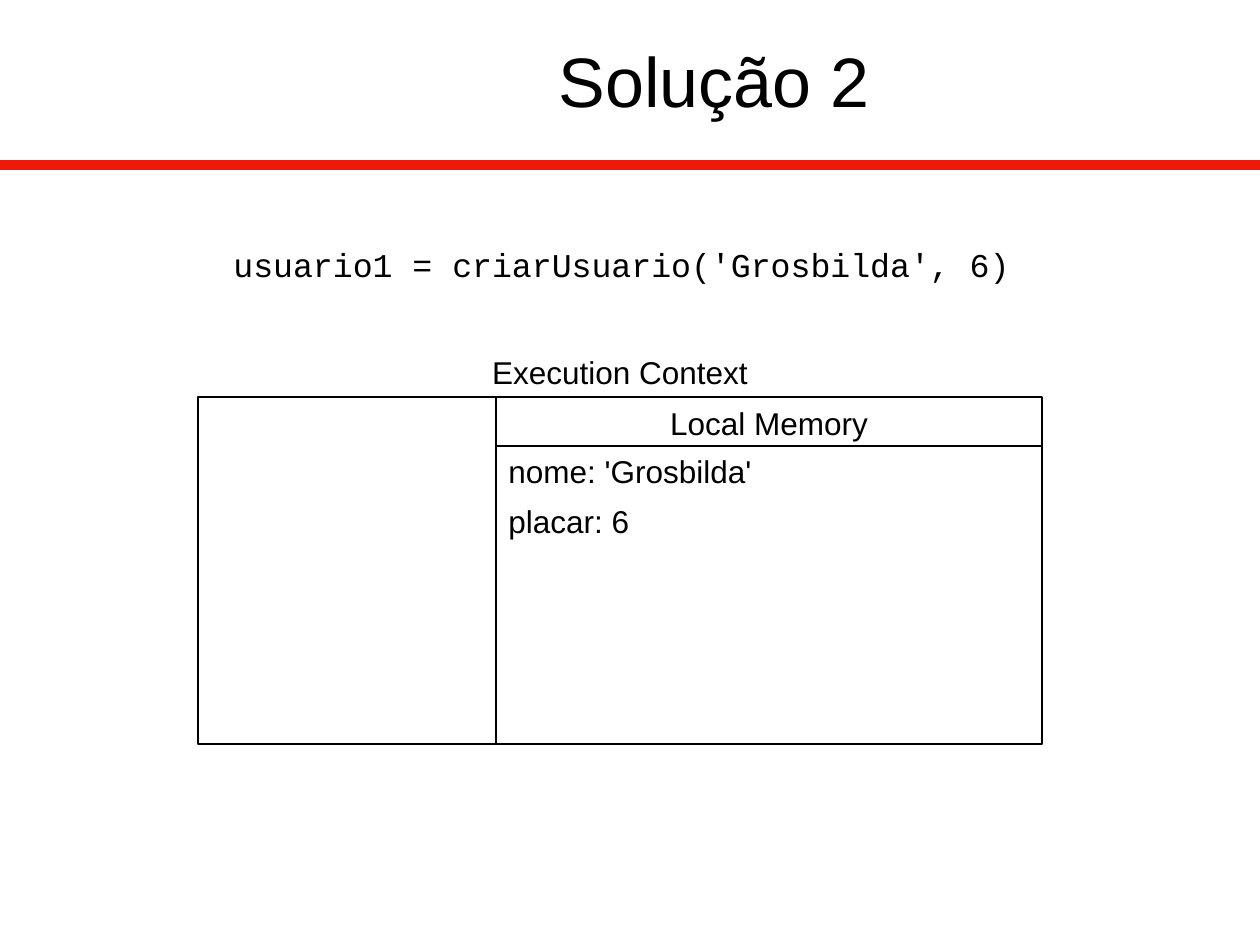
from lxml import etree
from pptx import Presentation, util as u
from pptx.dml.color import RGBColor
from pptx.enum import shapes, text
from pptx.oxml.ns import qn

SCALE = 914400 / 126
COLORS = {"ink": "000000", "rule": "ED1909"}


def px(*vals):
    return [u.Emu(round(v * SCALE)) for v in vals]


class Board:
    """Holds the style and the current slide."""

    font = "Arial"
    size = 18
    stroke = 1

    def __init__(self, slide):
        self.slide = slide

    def color(self, name):
        return RGBColor.from_string(COLORS[name])

    def line(self, x1, y1, x2, y2, color="ink", width=stroke):
        line = self.slide.shapes.add_connector(
            shapes.MSO_CONNECTOR.STRAIGHT, *px(x1, y1, x2, y2))
        line.line.color.rgb = self.color(color)
        line.line.width = u.Pt(width)
        etree.SubElement(line._element.spPr, qn("a:effectLst"))

    def frame(self, x, y, w, h):
        rect = self.slide.shapes.add_shape(
            shapes.MSO_SHAPE.RECTANGLE, *px(x, y, w, h))
        rect.shadow.inherit = False
        rect.fill.background()
        rect.line.color.rgb = self.color("ink")
        rect.line.width = u.Pt(self.stroke)

    def label(self, words, x, y, w, h, size=size, font=font,
              center=False, middle=False, wrap=True):
        box = self.slide.shapes.add_textbox(*px(x, y, w, h))
        body = box.text_frame
        body.word_wrap = wrap
        body.text = words
        if middle:
            body.vertical_anchor = text.MSO_ANCHOR.MIDDLE
        para = body.paragraphs[0]
        para.alignment = text.PP_ALIGN.CENTER if center else text.PP_ALIGN.LEFT
        run = para.runs[0].font
        run.name = font
        run.size = u.Pt(size)
        run.color.rgb = self.color("ink")


def main():
    deck = Presentation()
    deck.slide_width, deck.slide_height = px(1260, 945)
    board = Board(deck.slides.add_slide(deck.slide_layouts[6]))

    board.line(0, 165, 1260, 165, "rule", 6)
    board.label("Solução 2", 193, -11, 1042, 181, size=40,
                center=True, middle=True)
    board.label("usuario1 = criarUsuario('Grosbilda', 6)",
                221, 238, 802, 53, size=19, font="Courier New", wrap=False)

    left, top, wide, high = 198, 397, 844, 347
    split, head, row = 496, 446, 50
    right = left + wide
    board.line(split, top, split, top + high)
    board.line(split, head, right, head)
    board.label("Execution Context", left, top - row, wide, row, center=True)
    board.label("Local Memory", split, top + 1, right - split, row, center=True)
    for i, words in enumerate(["nome: 'Grosbilda'", "placar: 6"]):
        board.label(words, split, head + i * row, 298, row)
    board.frame(left, top, wide, high)

    deck.save("out.pptx")


if __name__ == "__main__":
    main()
